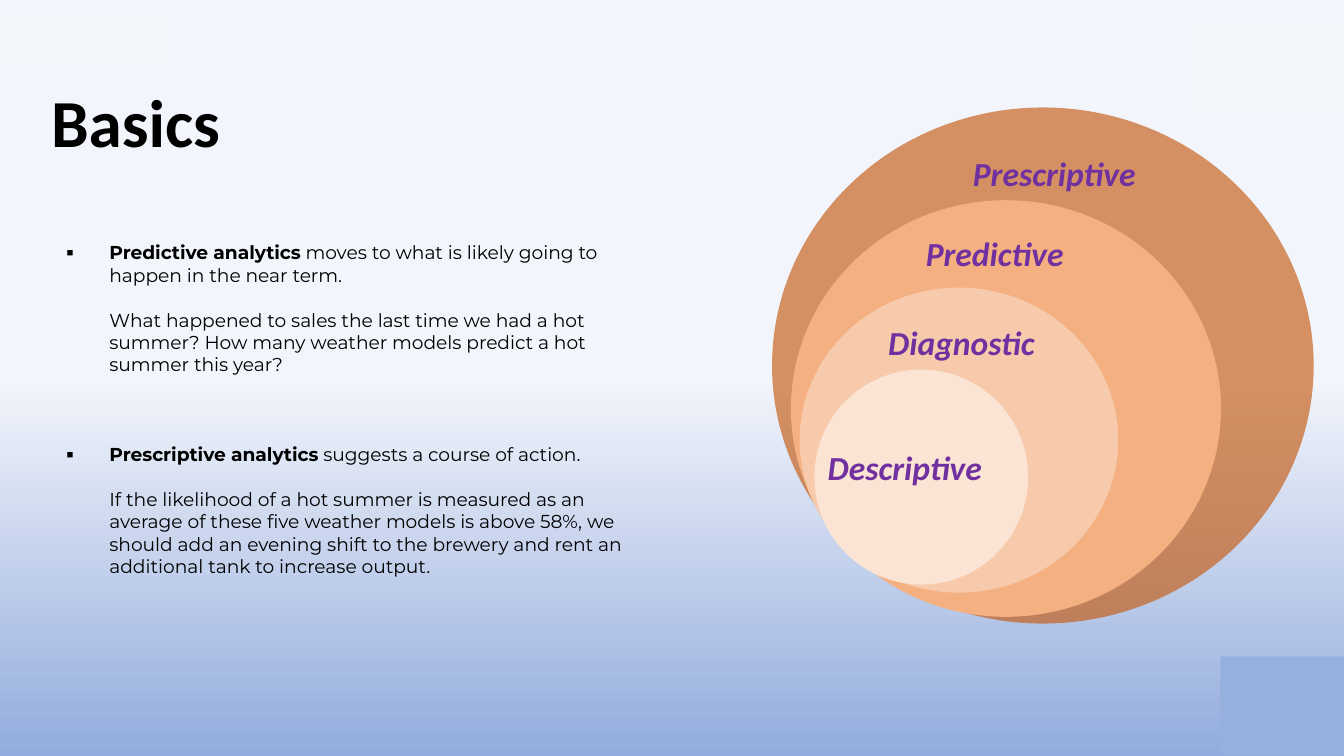
from dataclasses import dataclass

from lxml.etree import SubElement
from pptx import Presentation
from pptx.dml.color import RGBColor as Rgb
from pptx.enum.shapes import MSO_SHAPE as Preset
from pptx.oxml.ns import qn
from pptx.util import Emu, Pt

EMU_PER_PX = 4572
BLACK, PURPLE, MIST = "000000", "7030A0", "F3F6FB"
TITLE_FORMAT = {"name": "Calibri", "size": Pt(36), "bold": True}
LABEL_FORMAT = {"name": "Calibri", "size": Pt(18), "bold": True, "italic": True}
BODY_FORMAT = {"name": "Montserrat", "size": Pt(10), "bold": False}


@dataclass(frozen=True)
class Box:
    left: int
    top: int
    width: int
    height: int


@dataclass(frozen=True)
class Panel:
    box: Box
    fill: str
    preset: Preset = Preset.OVAL
    opacity: int = 100


@dataclass(frozen=True)
class Label:
    box: Box
    text: str


@dataclass(frozen=True)
class Topic:
    term: str
    meaning: str
    example: str
    gap: int


RINGS = [
    Panel(Box(1149, 160, 806, 768), "C55A11", opacity=65),
    Panel(Box(1177, 298, 640, 620), "F4B081"),
    Panel(Box(1190, 428, 474, 454), "F7CAAC"),
    Panel(Box(1212, 550, 318, 320), "FBE4D4"),
]
LABELS = [
    Label(Box(1428, 218, 370, 80), "Prescriptive"),
    Label(Box(1358, 337, 278, 80), "Predictive"),
    Label(Box(1302, 469, 278, 80), "Diagnostic"),
    Label(Box(1212, 656, 278, 80), "Descriptive"),
]
CORNERS = [
    Panel(Box(0, 24, 258, 72), MIST, Preset.RECTANGLE),
    Panel(Box(1816, 977, 184, 146), "96B0DE", Preset.RECTANGLE),
    Panel(Box(1766, 32, 234, 134), MIST, Preset.RECTANGLE),
]
TOPICS = [
    Topic(
        "Predictive analytics",
        " moves to what is likely going to happen in the near term.",
        "What happened to sales the last time we had a hot summer? "
        "How many weather models predict a hot summer this year?",
        0,
    ),
    Topic(
        "Prescriptive analytics",
        " suggests a course of action.",
        "If the likelihood of a hot summer is measured as an average of these "
        "five weather models is above 58%, we should add an evening shift to "
        "the brewery and rent an additional tank to increase output.",
        36,
    ),
]


def px(length: int) -> Emu:
    return Emu(length * EMU_PER_PX)


def color(value: str) -> Rgb:
    return Rgb.from_string(value)


def place(box: Box) -> tuple[Emu, ...]:
    return px(box.left), px(box.top), px(box.width), px(box.height)


def paint_background(slide) -> None:
    fill = slide.background.fill
    fill.gradient()
    fill.gradient_angle = 270
    for stop, (position, value) in zip(
        fill.gradient_stops, [(0.5, "F2F5FB"), (1.0, "93ACDD")]
    ):
        stop.position = position
        stop.color.rgb = color(value)


def add_panel(slide, panel: Panel) -> None:
    shape = slide.shapes.add_shape(panel.preset, *place(panel.box))
    shape.shadow.inherit = False
    shape.line.fill.background()
    shape.fill.solid()
    shape.fill.fore_color.rgb = color(panel.fill)
    if panel.opacity < 100:
        tint = shape.fill._xPr.find(".//" + qn("a:srgbClr"))
        SubElement(tint, qn("a:alpha"), val=str(panel.opacity * 1000))


def add_frame(slide, box: Box, side: int, top: int, bottom: int):
    frame = slide.shapes.add_textbox(*place(box)).text_frame
    margins = {"left": side, "top": top, "right": side, "bottom": bottom}
    for edge, length in margins.items():
        setattr(frame, f"margin_{edge}", px(length))
    frame.word_wrap = True
    return frame


def add_span(para, text: str, values: dict, ink: str = BLACK) -> None:
    span = para.add_run()
    span.text = text
    for name, value in values.items():
        setattr(span.font, name, value)
    span.font.color.rgb = color(ink)


def indent(para, left: int, hanging: int = 0, bullet: str = "") -> None:
    settings = para._p.get_or_add_pPr()
    settings.set("marL", str(px(left)))
    settings.set("indent", str(px(-hanging)))
    if bullet:
        ink = SubElement(settings, qn("a:buClr"))
        SubElement(ink, qn("a:srgbClr"), val=BLACK)
        SubElement(settings, qn("a:buFont"), typeface="Montserrat")
        SubElement(settings, qn("a:buChar"), char=bullet)


def add_topics(slide, topics: list[Topic]) -> None:
    frame = add_frame(slide, Box(68, 272, 924, 646), 20, 87, 20)
    for number, topic in enumerate(topics):
        para = frame.add_paragraph() if number else frame.paragraphs[0]
        para.space_before = Pt(topic.gap)
        indent(para, 75, 64, "▪")
        add_span(para, topic.term, {**BODY_FORMAT, "bold": True})
        add_span(para, topic.meaning, BODY_FORMAT)
        example = frame.add_paragraph()
        example.space_before = Pt(12)
        indent(example, 75)
        add_span(example, topic.example, BODY_FORMAT)


def main() -> None:
    """Build the slide on the basics of analytics and save it."""
    deck = Presentation()
    deck.slide_width, deck.slide_height = px(2000), px(1125)
    page = deck.slides.add_slide(deck.slide_layouts[6])
    paint_background(page)
    title = add_frame(page, Box(62, 112, 916, 136), 14, 8, 8)
    add_span(title.paragraphs[0], "Basics", TITLE_FORMAT)
    add_topics(page, TOPICS)
    for ring in RINGS:
        add_panel(page, ring)
    for label in LABELS:
        frame = add_frame(page, label.box, 20, 10, 10)
        add_span(frame.paragraphs[0], label.text, LABEL_FORMAT, PURPLE)
    for corner in CORNERS:
        add_panel(page, corner)
    deck.save("out.pptx")


if __name__ == "__main__":
    main()
